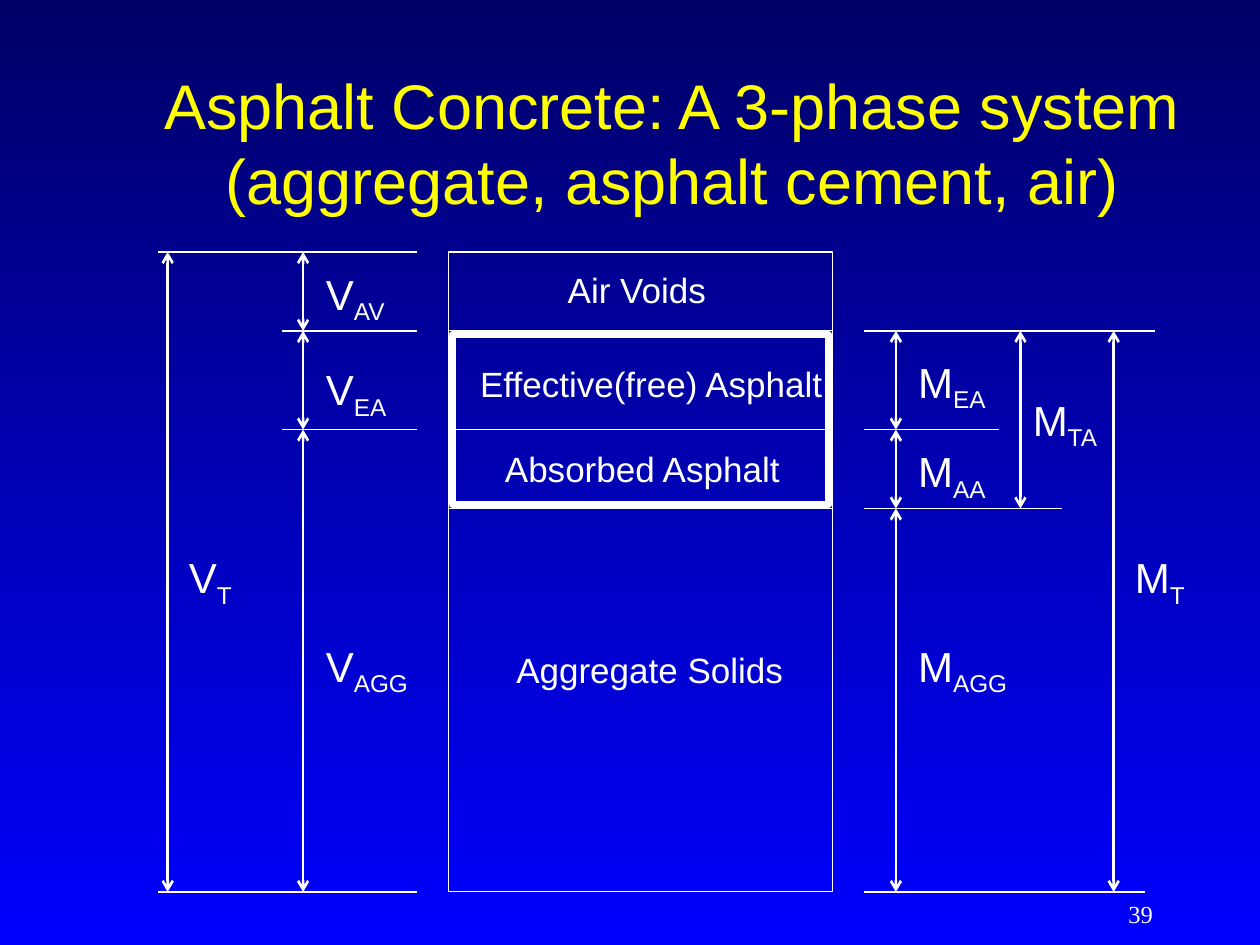
from itertools import pairwise

from lxml import etree
from pptx import Presentation
from pptx.dml.color import RGBColor
from pptx.enum.shapes import MSO_CONNECTOR, MSO_SHAPE
from pptx.enum.text import MSO_ANCHOR, PP_ALIGN
from pptx.oxml.ns import qn
from pptx.util import Cm, Pt

STRAIGHT = MSO_CONNECTOR.STRAIGHT
RECTANGLE = MSO_SHAPE.RECTANGLE
TOP, MIDDLE = MSO_ANCHOR.TOP, MSO_ANCHOR.MIDDLE
LEFT, CENTER, RIGHT = PP_ALIGN.LEFT, PP_ALIGN.CENTER, PP_ALIGN.RIGHT

THEME = {
    "font": "Arial", "number_font": "Times New Roman",
    "title": RGBColor(0xFF, 0xFF, 0x00), "ink": RGBColor(0xFF, 0xFF, 0xFF),
    "sky": (RGBColor(0x00, 0x00, 0x66), RGBColor(0x00, 0x00, 0xFF)),
    "title_size": 36, "symbol_size": 24, "layer_size": 20, "number_size": 14,
    "thin": 0.75, "arrow": 1.5, "frame": 4,
}
TITLE = "Asphalt Concrete: A 3-phase system (aggregate, asphalt cement, air)"
PAGE_NUMBER = "39"

LEVELS = (5.08, 6.67, 8.66, 10.25, 17.98)
SURFACE, VOIDS, EFFECTIVE, ABSORBED, BASE = range(5)
COLUMN_LEFT, COLUMN_WIDTH = 9.04, 7.75
LAYERS = [
    ("Air Voids", 12.84, 5.28),
    ("Effective(free) Asphalt", 13.13, 7.19),
    ("Absorbed Asphalt", 12.95, 8.89),
    ("Aggregate Solids", 13.1, 12.95),
]
VOLUME_EDGE, MASS_EDGE = 8.41, 17.42
TICKS = [
    (VOLUME_EDGE, 3.18, SURFACE), (VOLUME_EDGE, 5.69, VOIDS),
    (VOLUME_EDGE, 5.69, EFFECTIVE), (VOLUME_EDGE, 3.18, BASE),
    (MASS_EDGE, 23.29, VOIDS), (MASS_EDGE, 20.14, EFFECTIVE),
    (MASS_EDGE, 21.41, ABSORBED), (MASS_EDGE, 23.09, BASE),
]
DIMENSIONS = [
    ("V", "T", 3.38, SURFACE, BASE, 3.56, 11.0),
    ("V", "AV", 6.11, SURFACE, VOIDS, 6.32, 5.28),
    ("V", "EA", 6.11, VOIDS, EFFECTIVE, 6.32, 7.21),
    ("V", "AGG", 6.11, EFFECTIVE, BASE, 6.32, 12.78),
    ("M", "EA", 18.06, VOIDS, EFFECTIVE, 18.26, 7.06),
    ("M", "AA", 18.06, EFFECTIVE, ABSORBED, 18.26, 8.86),
    ("M", "AGG", 18.06, ABSORBED, BASE, 18.26, 12.78),
    ("M", "TA", 20.57, VOIDS, ABSORBED, 20.57, 7.82),
    ("M", "T", 22.45, VOIDS, BASE, 22.63, 11.0),
]


def style(para, size, align, color=THEME["ink"], font=THEME["font"]):
    """Format one paragraph."""
    para.alignment = align
    para.font.size, para.font.name = Pt(size), font
    para.font.color.rgb = color


def add_text(page, text, left, top, width, height, anchor=TOP, wrap=True):
    """Add a text box and return its paragraph."""
    frame = page.shapes.add_textbox(Cm(left), Cm(top), Cm(width), Cm(height)).text_frame
    frame.word_wrap, frame.vertical_anchor = wrap, anchor
    para = frame.paragraphs[0]
    para.add_run().text = text
    return para


def add_rectangle(page, left, top, width, height, weight):
    """Add an unfilled rectangle."""
    box = page.shapes.add_shape(RECTANGLE, Cm(left), Cm(top), Cm(width), Cm(height))
    box.shadow.inherit = False
    box.fill.background()
    box.line.color.rgb, box.line.width = THEME["ink"], Pt(weight)


def add_line(page, start, end, weight, arrows=False):
    """Add a straight line, optionally with an arrowhead at both ends."""
    line = page.shapes.add_connector(STRAIGHT, *map(Cm, start + end))
    line.line.color.rgb, line.line.width = THEME["ink"], Pt(weight)
    if arrows:
        outline = line.line._get_or_add_ln()
        for tag in ("a:headEnd", "a:tailEnd"):
            etree.SubElement(outline, qn(tag), type="arrow")
    etree.SubElement(line._element.spPr, qn("a:effectLst"))


def add_title(page):
    """Fill and place the title and paint the background."""
    background = page.background.fill
    background.gradient()
    background.gradient_angle = 270
    for stop, color in zip(background.gradient_stops, THEME["sky"]):
        stop.color.rgb = color
    title = page.shapes.title
    title.left, title.top, title.width, title.height = map(Cm, (2.97, 1.27, 21.16, 3.18))
    title.text_frame.text = TITLE
    title.text_frame.vertical_anchor = MIDDLE
    style(title.text_frame.paragraphs[0], THEME["title_size"], CENTER, THEME["title"])


def add_column(page):
    """Draw the stacked layers and the frame around all asphalt."""
    for (name, center, label_top), (top, bottom) in zip(LAYERS, pairwise(LEVELS)):
        add_rectangle(page, COLUMN_LEFT, top, COLUMN_WIDTH, bottom - top, THEME["thin"])
        width = 7.47
        para = add_text(page, name, center - width / 2, label_top, width, 1.1, wrap=False)
        style(para, THEME["layer_size"], CENTER)
    inset = 0.08
    top, bottom = LEVELS[VOIDS] + inset, LEVELS[ABSORBED] - inset
    add_rectangle(page, COLUMN_LEFT + inset, top, COLUMN_WIDTH - 2 * inset,
                  bottom - top, THEME["frame"])


def add_dimensions(page):
    """Draw the level ticks and the labelled volume and mass arrows."""
    for near, far, level in TICKS:
        add_line(page, (near, LEVELS[level]), (far, LEVELS[level]), THEME["thin"])
    for symbol, index, x, top, bottom, label_left, label_top in DIMENSIONS:
        add_line(page, (x, LEVELS[top]), (x, LEVELS[bottom]), THEME["arrow"], True)
        para = add_text(page, symbol, label_left, label_top, 2.51, 1.1)
        span = para.add_run()
        span.text = index
        span.font._element.set("baseline", "-25000")
        style(para, THEME["symbol_size"], LEFT)


def main():
    """Build the slide and save it."""
    deck = Presentation()
    deck.slide_width, deck.slide_height = Cm(25.4), Cm(19.05)
    page = deck.slides.add_slide(deck.slide_layouts[5])
    add_title(page)
    add_column(page)
    add_dimensions(page)
    number = add_text(page, PAGE_NUMBER, 18.21, 17.78, 5.28, 1.27, MIDDLE)
    style(number, THEME["number_size"], RIGHT, font=THEME["number_font"])
    deck.save("out.pptx")


if __name__ == "__main__":
    main()
